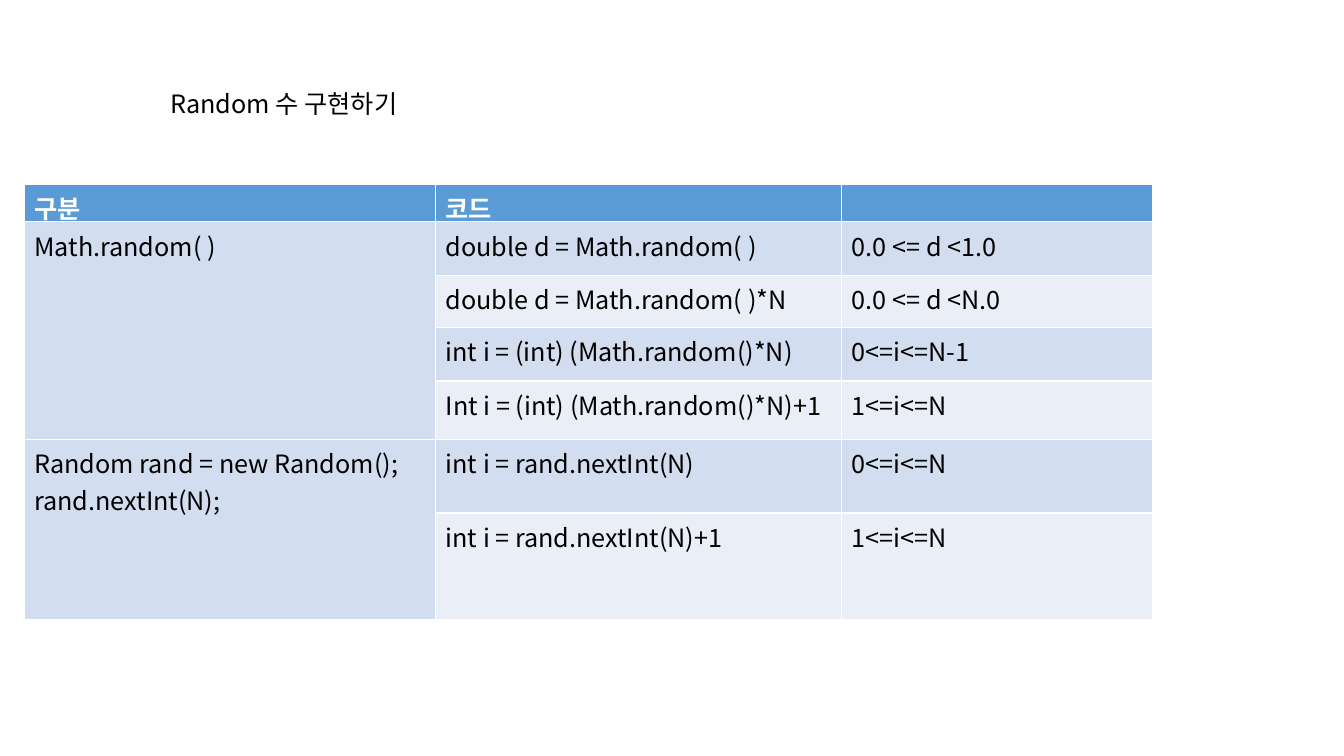
import pptx
import pptx.util
import pptx.dml.color
import pptx.enum.text
import pptx.oxml.ns
import pptx.oxml.xmlchemy
from pptx.util import Inches

# Content
FONT = "Noto Sans CJK KR"
HEADING = "Random 수 구현하기"
HEADER = ("구분", "코드", "")
GROUPS = [
    (["Math.random( )"], [
        ("double d = Math.random( )", "0.0 <= d <1.0"),
        ("double d = Math.random( )*N", "0.0 <= d <N.0"),
        ("int i = (int) (Math.random()*N)", "0<=i<=N-1"),
        ("Int i = (int) (Math.random()*N)+1", "1<=i<=N"),
    ]),
    (["Random rand = new Random();", "rand.nextInt(N);"], [
        ("int i = rand.nextInt(N)", "0<=i<=N"),
        ("int i = rand.nextInt(N)+1", "1<=i<=N"),
    ]),
]
COLUMN_WIDTHS = (4.08, 4.03, 3.08)
ROW_HEIGHTS = (0.37, 0.53, 0.52, 0.53, 0.58, 0.73, 1.06)
HEADER_FILL, BAND_FILLS = "5B9BD5", ("D2DEEF", "EAEFF7")


def colour(value):
    return pptx.dml.color.RGBColor.from_string(value)


def write(frame, lines, text_colour="000000", bold=False):
    for number, line in enumerate(lines):
        paragraph = frame.add_paragraph() if number else frame.paragraphs[0]
        paragraph.alignment = pptx.enum.text.PP_ALIGN.LEFT
        run = paragraph.add_run()
        run.text = line
        run.font.size = pptx.util.Pt(18)
        run.font.bold = bold
        run.font.color.rgb = colour(text_colour)
        run.font.name = FONT
        east_asian = pptx.oxml.xmlchemy.OxmlElement("a:ea")
        east_asian.set("typeface", FONT)
        latin = run._r.get_or_add_rPr().find(pptx.oxml.ns.qn("a:latin"))
        latin.addnext(east_asian)


def paint(cell, value):
    cell.fill.solid()
    cell.fill.fore_color.rgb = colour(value)


deck = pptx.Presentation()
deck.slide_width, deck.slide_height = Inches(13.33), Inches(7.5)
slide = deck.slides.add_slide(deck.slide_layouts[5])

# Heading
heading = slide.shapes.title
heading.left, heading.top = Inches(1.59), Inches(0.83)
heading.width, heading.height = Inches(7.14), Inches(0.4)
heading.text_frame.word_wrap = True
heading.text_frame.vertical_anchor = pptx.enum.text.MSO_ANCHOR.TOP
heading.text_frame.auto_size = pptx.enum.text.MSO_AUTO_SIZE.SHAPE_TO_FIT_TEXT
write(heading.text_frame, [HEADING])

# Table grid
methods = slide.shapes.add_table(
    len(ROW_HEIGHTS), len(COLUMN_WIDTHS), Inches(0.24), Inches(1.83),
    Inches(sum(COLUMN_WIDTHS)), Inches(sum(ROW_HEIGHTS))).table
for column, width in zip(methods.columns, COLUMN_WIDTHS):
    column.width = Inches(width)
for index, (row, height) in enumerate(zip(methods.rows, ROW_HEIGHTS)):
    row.height = Inches(height)
    for cell in row.cells:
        paint(cell, BAND_FILLS[(index - 1) % 2] if index else HEADER_FILL)

# Header row
for column, label in enumerate(HEADER):
    cell = methods.cell(0, column)
    cell.margin_bottom = 0
    if label:
        write(cell.text_frame, [label], "FFFFFF", True)

# One merged first cell for each way of drawing a number
first = 1
for method, examples in GROUPS:
    last = first + len(examples) - 1
    methods.cell(first, 0).merge(methods.cell(last, 0))
    write(methods.cell(first, 0).text_frame, method)
    for index, example in enumerate(examples, first):
        for column, text in enumerate(example, 1):
            write(methods.cell(index, column).text_frame, [text])
    first = last + 1

deck.save("out.pptx")
